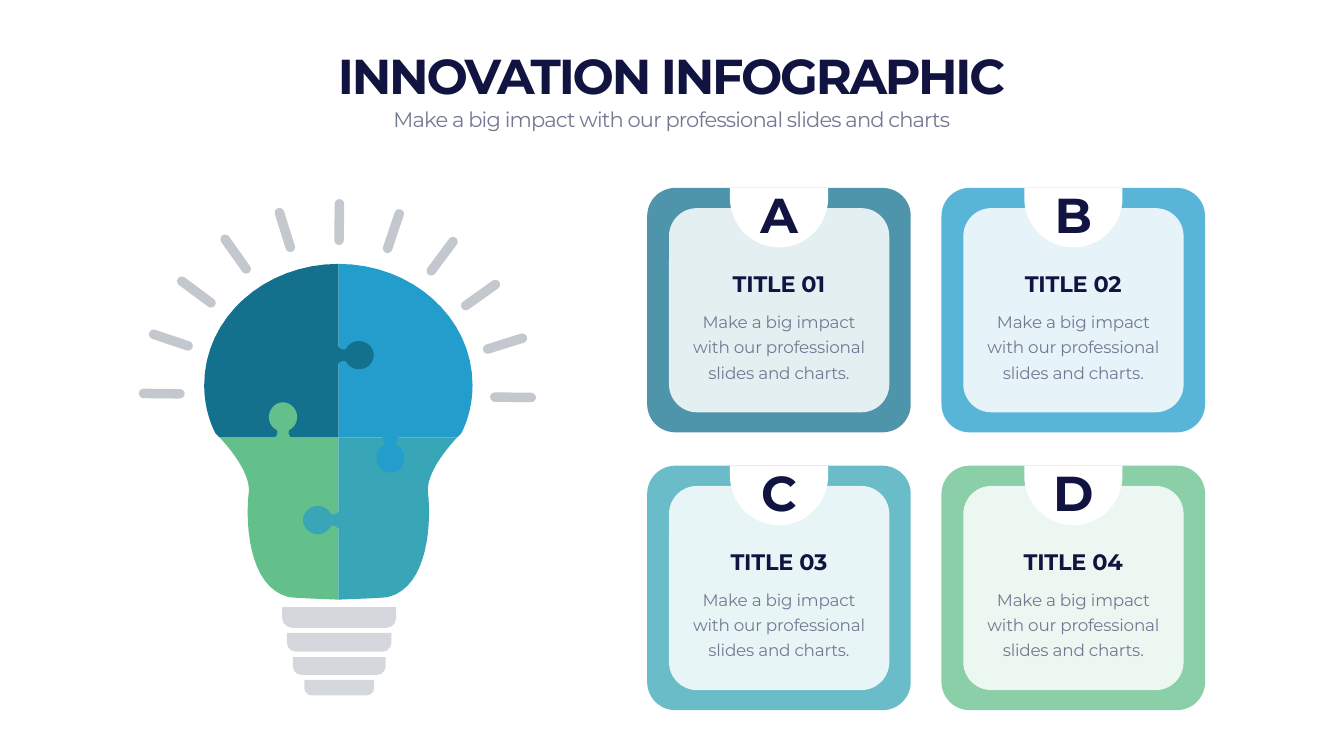
from dataclasses import dataclass
from math import cos, radians, sin

from pptx import Presentation
from pptx.dml.color import RGBColor
from pptx.enum.shapes import MSO_SHAPE
from pptx.enum.text import MSO_ANCHOR, MSO_AUTO_SIZE, PP_ALIGN
from pptx.oxml.ns import qn
from pptx.util import Cm, Pt


@dataclass(frozen=True)
class Theme:
    font: str = "Montserrat"
    ink: str = "111340"
    muted: str = "747993"
    grey: str = "C3C8CE"
    white: str = "FFFFFF"
    navy: str = "14718E"
    blue: str = "229DCC"
    teal: str = "38A6B6"
    green: str = "63C08A"
    display: int = 70
    heading: int = 32
    subtitle: int = 30
    body: int = 24


THEME = Theme()

# Chains of cubic curves, in cm: start, then control, control, end for each.
# The glass halves are measured from the joint where the four pieces meet.
UPPER_LEFT = [(0, -8.74), (-3.73, -8.74), (-6.76, -6.02), (-6.76, -2.64),
              (-6.76, -1.8), (-6.58, -0.99), (-6.22, -0.25),
              (-6.2, -0.2), (-6.1, -0.1), (-5.99, 0)]
LOWER_LEFT = [(-5.99, 0), (-5.54, 0.48), (-4.37, 1.83), (-4.52, 2.84),
              (-4.67, 4.11), (-4.6, 7.52), (-2.51, 8.05),
              (-2.31, 8.1), (0, 8.18), (0, 8.18)]
# Half of a puzzle tab, as (distance out, distance across).
HALF_TAB = [(0, -0.43), (0.13, -0.25), (0.3, -0.28), (0.38, -0.3),
            (0.51, -0.56), (0.76, -0.71), (1.04, -0.71),
            (1.45, -0.71), (1.78, -0.38), (1.78, 0)]
NOTCH = [(0, 0), (0, 0.2), (0, 0.4), (0, 0.51), (0, 1.88), (1.11, 3), (2.48, 3),
         (3.84, 3), (4.95, 1.88), (4.95, 0.51), (4.95, 0.4), (4.95, 0.2), (4.95, 0)]
CARD_TEXT = "Make a big impact with our professional slides and charts."


def mirrored(points):
    return [(-x, y) for x, y in points]


def flattened(chain, steps=16):
    """Turn a chain of cubic curves into points along it."""
    points = [chain[0]]
    for first in range(0, len(chain) - 1, 3):
        knots = chain[first:first + 4]
        for step in range(1, steps + 1):
            t = step / steps
            weights = ((1 - t) ** 3, 3 * t * (1 - t) ** 2, 3 * t * t * (1 - t), t ** 3)
            points.append(tuple(sum(w * knot[axis] for w, knot in zip(weights, knots))
                                for axis in (0, 1)))
    return points


def tab(x, y, out_x, out_y):
    """Outline of a puzzle tab that points along (out_x, out_y)."""
    other_half = [(out, -across) for out, across in HALF_TAB[-2::-1]]
    return [(x + out * out_x - across * out_y, y + out * out_y + across * out_x)
            for out, across in flattened(HALF_TAB + other_half)]


def paint(shape, color, opacity=100):
    shape.shadow.inherit = False
    shape.line.fill.background()
    shape.fill.solid()
    shape.fill.fore_color.rgb = RGBColor.from_string(color)
    if opacity < 100:
        tint = shape.fill._xPr.find(qn("a:solidFill"))[0]
        alpha = tint.makeelement(qn("a:alpha"), {"val": str(opacity * 1000)})
        tint.append(alpha)


def add_preset(page, kind, left, top, width, height, color,
               corner, opacity=100, rotation=0):
    shape = page.shapes.add_shape(kind, Cm(left), Cm(top), Cm(width), Cm(height))
    shape.adjustments[0] = corner
    shape.rotation = rotation
    paint(shape, color, opacity)


def add_outline(page, left, top, points, color):
    placed = [(Cm(left + x), Cm(top + y)) for x, y in points]
    builder = page.shapes.build_freeform(*placed[0], scale=1.0)
    builder.add_line_segments(placed[1:], close=True)
    paint(builder.convert_to_shape(), color)


def add_text(page, text, left, top, width, height, size, color=THEME.ink,
             bold=False, spacing=-0.3, anchor=MSO_ANCHOR.BOTTOM, leading=None):
    box = page.shapes.add_textbox(Cm(left), Cm(top), Cm(width), Cm(height))
    frame = box.text_frame
    frame.word_wrap = True
    frame.auto_size = MSO_AUTO_SIZE.SHAPE_TO_FIT_TEXT
    frame.vertical_anchor = anchor
    para = frame.paragraphs[0]
    para.alignment = PP_ALIGN.CENTER
    if leading:
        para.line_spacing = Pt(leading)
    span = para.add_run()
    span.text = text
    span.font.name = THEME.font
    span.font.size = Pt(size)
    span.font.bold = bold
    span.font.color.rgb = RGBColor.from_string(color)
    span.font._element.set("spc", str(round(spacing * 100)))


def add_header(page, left, top, width):
    add_text(page, "INNOVATION INFOGRAPHIC", left, top, width, 3.25,
             THEME.display, bold=True, spacing=-3.1)
    add_text(page, "Make a big impact with our professional slides and charts",
             left, top + 3.12, width, 1.55, THEME.subtitle, color=THEME.muted,
             spacing=-1.2, anchor=MSO_ANCHOR.TOP)


def add_screw_base(page, center, top):
    rings = [(0, 5.74, 1.04), (1.3, 5.26, 0.94), (2.52, 4.67, 0.89), (3.66, 3.51, 0.79)]
    for drop, width, height in rings:
        add_preset(page, MSO_SHAPE.ROUND_2_SAME_RECTANGLE, center - width / 2,
                   top + drop, width, height, THEME.grey, 0.47, opacity=70, rotation=180)


def add_glass(page, joint_x, joint_y):
    """Four interlocking puzzle pieces around the joint."""
    upper, lower = flattened(UPPER_LEFT), flattened(LOWER_LEFT)
    joint = [(0, 0)]
    pieces = [
        (lower + joint, THEME.green),
        (mirrored(lower) + tab(0, 4.17, -1, 0) + joint, THEME.teal),
        (mirrored(upper) + tab(2.62, 0, 0, 1) + joint, THEME.blue),
        (tab(0, -4.14, 1, 0) + joint + upper[::-1], THEME.navy),
        (tab(-2.79, 0.02, 0, -1), THEME.green),
    ]
    for points, color in pieces:
        add_outline(page, joint_x, joint_y, points, color)


def add_rays(page, center_x, center_y, count=11):
    length, thickness, tilt = 2.31, 0.48, 0.6
    for index in range(count):
        angle = 180 * index / (count - 1) + tilt
        x = center_x - 8.85 * cos(radians(angle))
        y = center_y - 8.74 * sin(radians(angle))
        add_preset(page, MSO_SHAPE.ROUNDED_RECTANGLE, x - length / 2, y - thickness / 2,
                   length, thickness, THEME.grey, 0.5, rotation=angle)


def add_bulb(page, left, top):
    add_screw_base(page, left + 10.1, top + 20.47)
    add_glass(page, left + 10.06, top + 11.91)
    add_rays(page, left + 10.01, top + 9.8)


def add_card(page, left, top, letter, title, color):
    add_preset(page, MSO_SHAPE.ROUNDED_RECTANGLE, left, top, 13.28, 12.32,
               color, 0.115, opacity=75)
    add_preset(page, MSO_SHAPE.ROUNDED_RECTANGLE, left + 1.1, top + 1.02, 11.1, 10.29,
               THEME.white, 0.137, opacity=85)
    add_outline(page, left + 4.17, top, flattened(NOTCH), THEME.white)
    add_text(page, letter, left + 4.48, top - 0.33, 4.34, 3.25, THEME.display, bold=True)
    add_text(page, title, left + 1.65, top + 4, 9.98, 1.63, THEME.heading, bold=True)
    add_text(page, CARD_TEXT, left + 1.65, top + 5.87, 9.98, 3.99, THEME.body,
             color=THEME.muted, anchor=MSO_ANCHOR.TOP, leading=36)


def add_card_grid(page, left, top):
    colors = [THEME.navy, THEME.blue, THEME.teal, THEME.green]
    for index, (letter, color) in enumerate(zip("ABCD", colors)):
        row, column = divmod(index, 2)
        add_card(page, left + 14.83 * column, top + 14 * row,
                 letter, f"TITLE {index + 1:02}", color)


def main():
    deck = Presentation()
    deck.slide_width, deck.slide_height = Cm(67.72), Cm(38.1)
    page = deck.slides.add_slide(deck.slide_layouts[6])
    add_bulb(page, 6.99, 10.13)
    add_header(page, 4.22, 2.11, 59.26)
    add_card_grid(page, 32.61, 9.47)
    deck.save("out.pptx")


if __name__ == "__main__":
    main()
